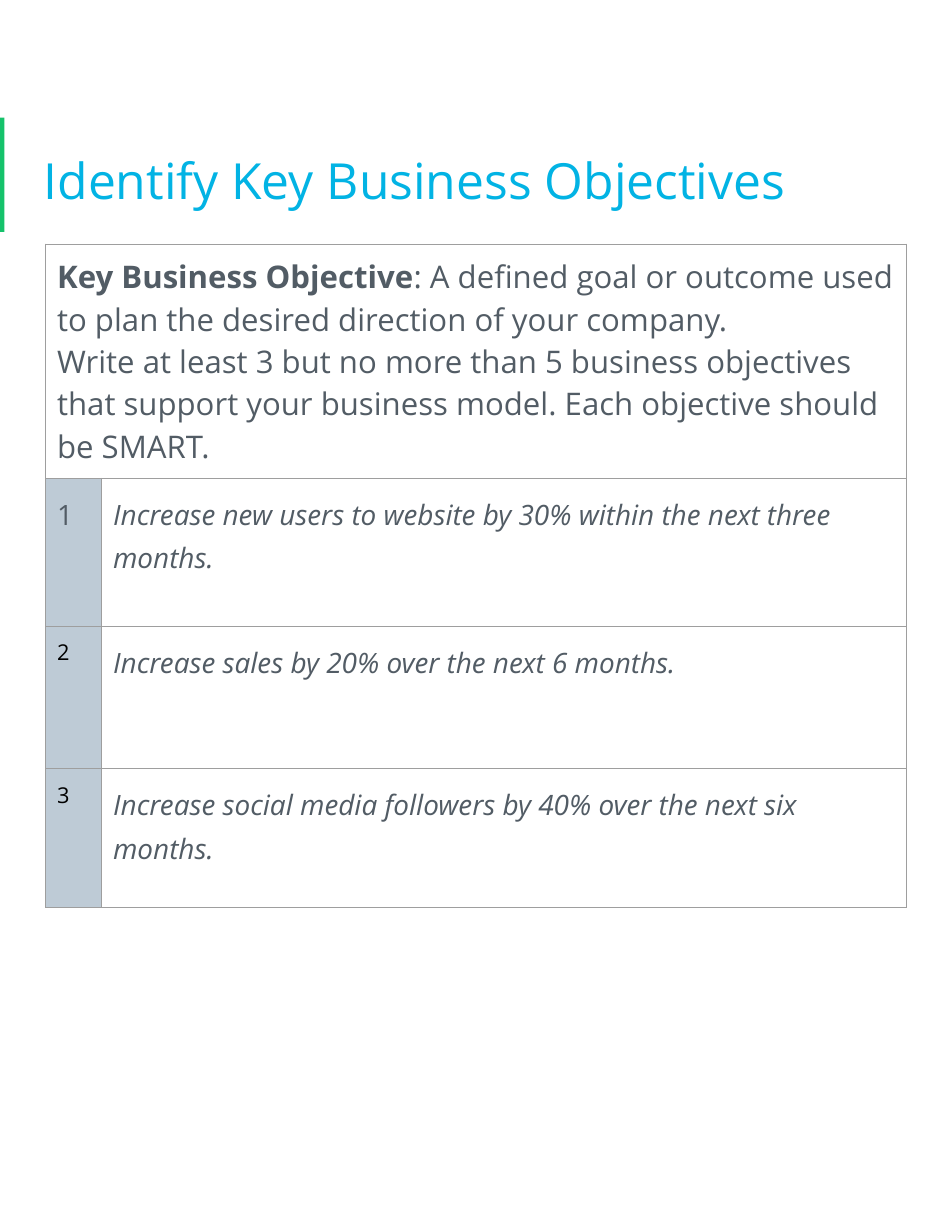
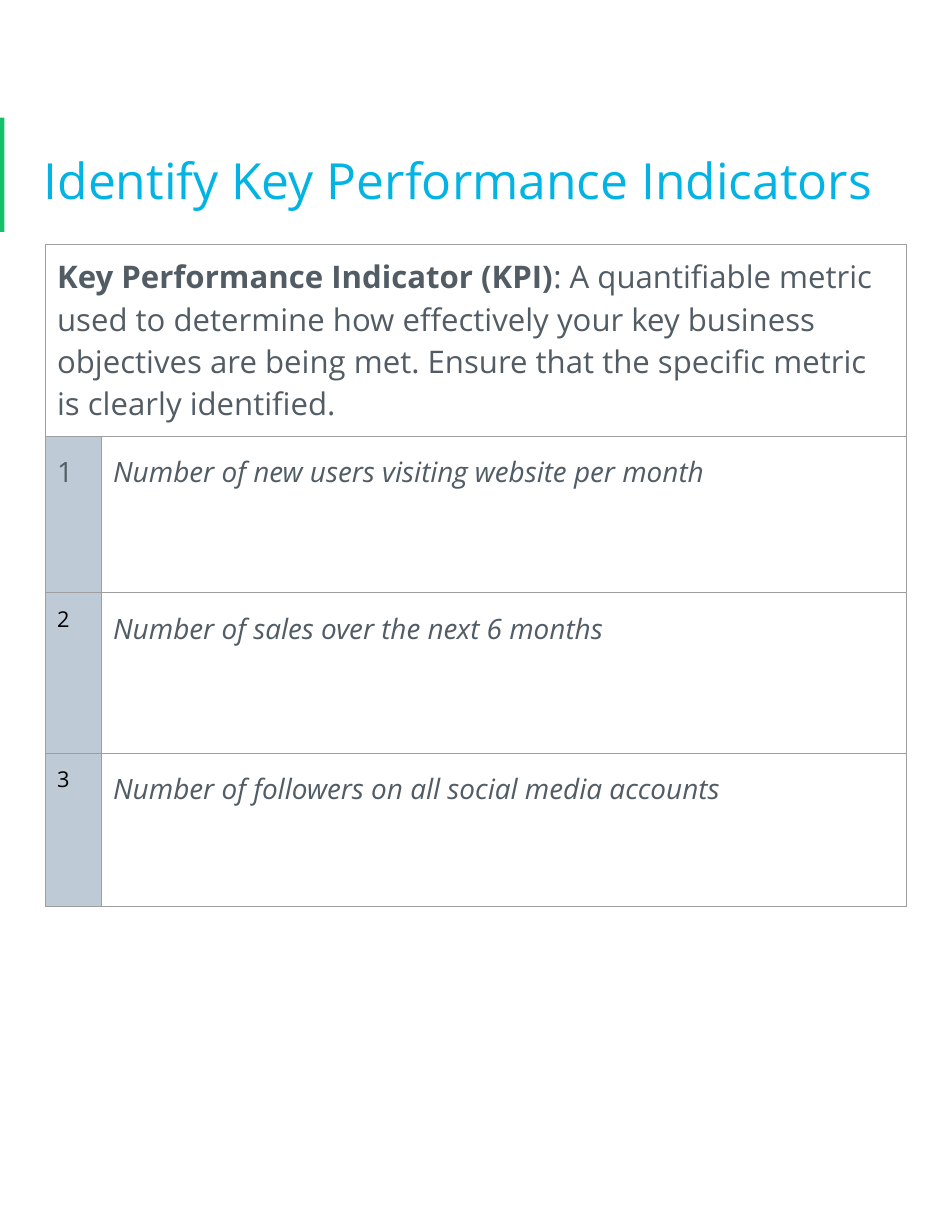
from dataclasses import dataclass

from lxml import etree
from pptx import Presentation
from pptx.dml.color import RGBColor
from pptx.enum import shapes, text
from pptx.oxml import ns
from pptx.util import Inches, Pt

FONT = "Open Sans"
BLUE, GREEN, SLATE = "02B3E4", "15C26B", "525C65"
BLACK, WHITE, GREY, PALE = "000000", "FFFFFF", "9E9E9E", "BECBD6"
MARGIN = Inches(0.1)
LINE_SPACING = 1.15
COLUMN_WIDTHS = (0.5, 7.18)


@dataclass
class Worksheet:
    title: str
    term: str
    definition: list[str]
    answers: list[str]
    row_heights: tuple[float, ...]


WORKSHEETS = [
    Worksheet(
        "Identify Key Business Objectives",
        "Key Business Objective",
        [": A defined goal or outcome used to plan the desired direction of your company.",
         "Write at least 3 but no more than 5 business objectives that support your "
         "business model. Each objective should be SMART."],
        ["Increase new users to website by 30% within the next three months.",
         "Increase sales by 20% over the next 6 months.",
         "Increase social media followers by 40% over the next six months."],
        (1.25, 1.32, 1.27, 1.24),
    ),
    Worksheet(
        "Identify Key Performance Indicators",
        "Key Performance Indicator (KPI)",
        [": A quantifiable metric used to determine how effectively your key business "
         "objectives are being met. Ensure that the specific metric is clearly identified."],
        ["Number of new users visiting website per month",
         "Number of sales over the next 6 months",
         "Number of followers on all social media accounts"],
        (1.25, 1.4, 1.43, 1.37),
    ),
]


def rgb(value: str) -> RGBColor:
    return RGBColor.from_string(value)


def style(para, size: float, color: str, italic: bool = False) -> None:
    for span in para.runs:
        span.font.name = FONT
        span.font.size = Pt(size)
        span.font.color.rgb = rgb(color)
        span.font.italic = italic


def set_margins(target) -> None:
    target.margin_left = target.margin_right = MARGIN
    target.margin_top = target.margin_bottom = MARGIN


def add_borders(cell) -> None:
    properties = cell._tc.get_or_add_tcPr()
    for index, side in enumerate(("lnL", "lnR", "lnT", "lnB")):
        line = etree.Element(ns.qn(f"a:{side}"), w=str(Pt(0.75)))
        fill = etree.SubElement(line, ns.qn("a:solidFill"))
        etree.SubElement(fill, ns.qn("a:srgbClr"), val=GREY)
        properties.insert(index, line)


def add_accent_bar(page) -> None:
    bar = page.shapes.add_shape(shapes.MSO_SHAPE.RECTANGLE, 0, Inches(1.05),
                                Inches(0.04), Inches(1.02))
    bar.shadow.inherit = False
    bar.fill.solid()
    bar.fill.fore_color.rgb = rgb(GREEN)
    bar.line.fill.background()


def set_title(page, wording: str) -> None:
    title = page.shapes.title
    title.left, title.top = Inches(0.29), Inches(0.95)
    title.width, title.height = Inches(7.92), Inches(1.22)
    frame = title.text_frame
    frame.text = wording
    frame.auto_size = text.MSO_AUTO_SIZE.NONE
    frame.vertical_anchor = text.MSO_ANCHOR.MIDDLE
    set_margins(frame)
    para = frame.paragraphs[0]
    para.alignment = text.PP_ALIGN.LEFT
    para.line_spacing = LINE_SPACING
    style(para, 32, BLUE)


def fill_definition(cell, sheet: Worksheet) -> None:
    cell.vertical_anchor = text.MSO_ANCHOR.MIDDLE
    para = cell.text_frame.paragraphs[0]
    term = para.add_run()
    term.text = sheet.term
    for index, line in enumerate(sheet.definition):
        if index:
            para.add_line_break()
        para.add_run().text = line
    style(para, 20, SLATE)
    term.font.bold = True


def add_worksheet_table(page, sheet: Worksheet) -> None:
    table = page.shapes.add_table(
        len(sheet.row_heights), len(COLUMN_WIDTHS), Inches(0.41), Inches(2.18),
        Inches(sum(COLUMN_WIDTHS)), Inches(sum(sheet.row_heights))).table
    table.first_row = table.horz_banding = False
    for column, width in zip(table.columns, COLUMN_WIDTHS):
        column.width = Inches(width)
    for row, height in zip(table.rows, sheet.row_heights):
        row.height = Inches(height)
    for cell in table.iter_cells():
        set_margins(cell)
        cell.fill.solid()
        cell.fill.fore_color.rgb = rgb(WHITE)
        add_borders(cell)

    table.cell(0, 0).merge(table.cell(0, 1))
    fill_definition(table.cell(0, 0), sheet)
    for number, answer in enumerate(sheet.answers, start=1):
        label, entry = table.cell(number, 0), table.cell(number, 1)
        label.fill.fore_color.rgb = rgb(PALE)
        label.text_frame.text = str(number)
        entry.text_frame.text = answer
        label_para = label.text_frame.paragraphs[0]
        entry_para = entry.text_frame.paragraphs[0]
        entry_para.line_spacing = LINE_SPACING
        style(entry_para, 18, SLATE, italic=True)
        if number == 1:
            label_para.line_spacing = LINE_SPACING
            style(label_para, 18, SLATE)
        else:
            style(label_para, 14, BLACK)


def main() -> None:
    deck = Presentation()
    deck.slide_width, deck.slide_height = Inches(8.5), Inches(11)
    title_only = deck.slide_layouts[5]
    for sheet in WORKSHEETS:
        page = deck.slides.add_slide(title_only)
        add_accent_bar(page)
        set_title(page, sheet.title)
        add_worksheet_table(page, sheet)
    deck.save("out.pptx")


if __name__ == "__main__":
    main()
